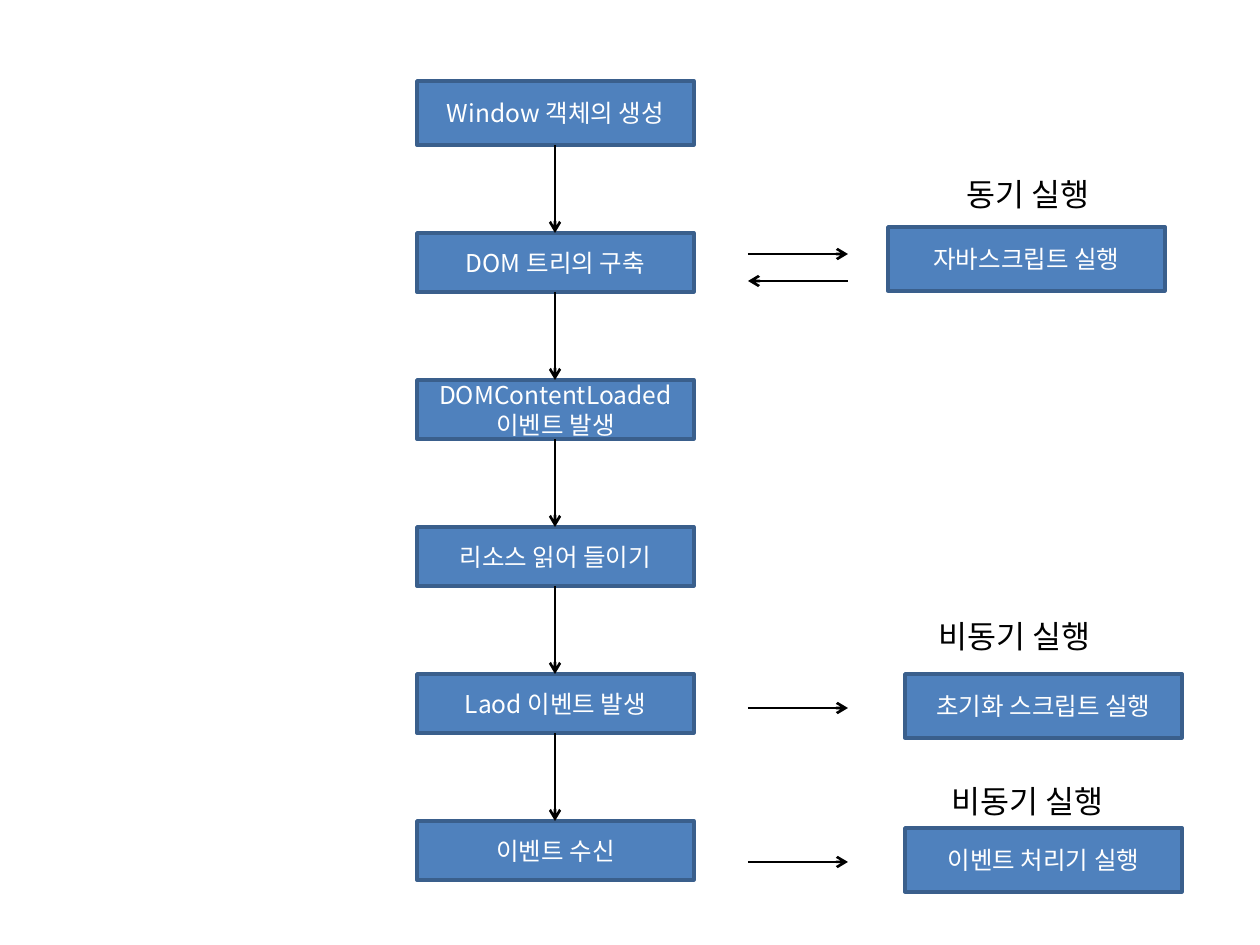
"""Build a flow diagram of the page loading steps in a browser."""
from typing import NamedTuple

from lxml import etree
from pptx import Presentation
from pptx import util as u
from pptx.dml.color import RGBColor
from pptx.enum import shapes, text
from pptx.oxml import ns

PX = u.Inches(1) / 126
FONT = "Noto Sans CJK KR"
BLUE = RGBColor(0x4F, 0x81, 0xBD)
BORDER = RGBColor(0x3A, 0x5F, 0x8C)
BLACK = RGBColor(0, 0, 0)
WHITE = RGBColor(255, 255, 255)

BOX_WIDTH = 277
TALL = 64
STEP_LEFT, STEP_HEIGHT, STEP_PITCH = 417, 59, 147
STEP_CENTER = STEP_LEFT + BOX_WIDTH // 2
CALL_LEFT, CALL_RIGHT = 748, 848


class Box(NamedTuple):
    wording: str
    left: int
    top: int
    height: int = TALL


class Label(NamedTuple):
    wording: str
    left: int
    top: int
    width: int
    height: int = 50


class Arrow(NamedTuple):
    x1: int
    y1: int
    x2: int
    y2: int


LATER_STEPS = [
    "DOM 트리의 구축",
    "DOMContentLoaded 이벤트 발생",
    "리소스 읽어 들이기",
    "Laod 이벤트 발생",
    "이벤트 수신",
]
STEPS = [Box("Window 객체의 생성", STEP_LEFT, 81)] + [
    Box(wording, STEP_LEFT, 233 + i * STEP_PITCH, STEP_HEIGHT)
    for i, wording in enumerate(LATER_STEPS)
]
SCRIPTS = [
    Box("자바스크립트 실행", 888, 227),
    Box("초기화 스크립트 실행", 905, 674),
    Box("이벤트 처리기 실행", 905, 828),
]
LABELS = [
    Label("동기 실행", 954, 169, 164),
    Label("비동기 실행", 926, 611, 195),
    Label("비동기 실행", 939, 776, 195),
]
CALLS = [Arrow(CALL_LEFT, y, CALL_RIGHT, y) for y in (254, 708, 862)]
RETURN = Arrow(CALL_RIGHT, 281, CALL_LEFT, 281)
FLOW = [
    Arrow(STEP_CENTER, step.top + step.height, STEP_CENTER, following.top)
    for step, following in zip(STEPS, STEPS[1:])
]


def emu(*lengths: int) -> list[int]:
    """Turn pixel lengths into EMU."""
    return [round(length * PX) for length in lengths]


def write(frame, wording: str, size: int, color: RGBColor):
    """Put one formatted paragraph into a text frame and return it."""
    paragraph = frame.paragraphs[0]
    paragraph.text = wording
    font = paragraph.font
    font.size = u.Pt(size)
    font.color.rgb = color
    font.name = FONT
    properties = paragraph._p.pPr.find(ns.qn("a:defRPr"))
    etree.SubElement(properties, ns.qn("a:ea"), typeface=FONT)
    return paragraph


def draw_box(slide, box: Box) -> None:
    """Draw a blue box with centred wording."""
    shape = slide.shapes.add_shape(
        shapes.MSO_SHAPE.RECTANGLE, *emu(box.left, box.top, BOX_WIDTH, box.height)
    )
    shape.shadow.inherit = False
    shape.fill.solid()
    shape.fill.fore_color.rgb = BLUE
    shape.line.color.rgb = BORDER
    shape.line.width = u.Pt(2)
    frame = shape.text_frame
    frame.word_wrap = True
    frame.vertical_anchor = text.MSO_ANCHOR.MIDDLE
    write(frame, box.wording, 14, WHITE).alignment = text.PP_ALIGN.CENTER


def draw_label(slide, label: Label) -> None:
    """Draw a caption that does not wrap."""
    frame = slide.shapes.add_textbox(
        *emu(label.left, label.top, label.width, label.height)
    ).text_frame
    frame.word_wrap = False
    frame.auto_size = text.MSO_AUTO_SIZE.SHAPE_TO_FIT_TEXT
    write(frame, label.wording, 18, BLACK)


def draw_arrow(slide, arrow: Arrow) -> None:
    """Draw a straight black line with an open arrowhead at its end."""
    connector = slide.shapes.add_connector(shapes.MSO_CONNECTOR.STRAIGHT, *emu(*arrow))
    connector.line.color.rgb = BLACK
    connector.line.width = u.Pt(1.5)
    etree.SubElement(connector.line._get_or_add_ln(), ns.qn("a:tailEnd"), type="arrow")
    etree.SubElement(connector._element.spPr, ns.qn("a:effectLst"))


def main() -> None:
    """Build and save the slide."""
    deck = Presentation()
    deck.slide_width, deck.slide_height = u.Inches(10), u.Inches(7.5)
    slide = deck.slides.add_slide(deck.slide_layouts.get_by_name("Blank"))
    for box in STEPS + SCRIPTS:
        draw_box(slide, box)
    for label in LABELS:
        draw_label(slide, label)
    for arrow in [*CALLS, RETURN, *FLOW]:
        draw_arrow(slide, arrow)
    deck.save("out.pptx")


if __name__ == "__main__":
    main()
